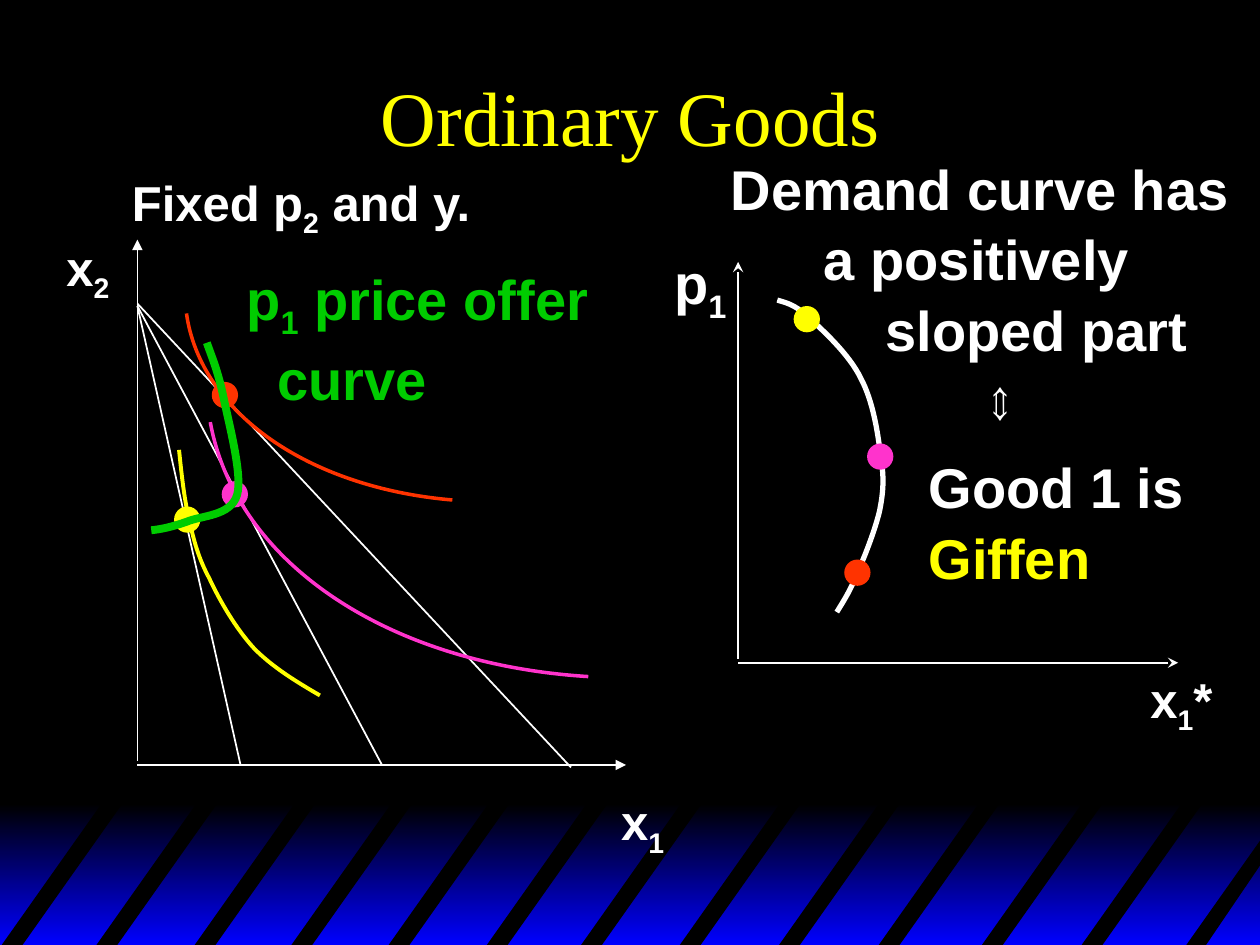
from typing import NamedTuple

from pptx import Presentation
from pptx.dml.color import RGBColor
from pptx.enum.shapes import MSO_CONNECTOR as Connector, MSO_SHAPE as Preset
from pptx.enum.text import MSO_ANCHOR as Anchor, PP_ALIGN as Align
from pptx.oxml.ns import qn
from pptx.oxml.xmlchemy import OxmlElement
from pptx.util import Cm, Pt

WHITE, BLACK, BLUE = "FFFFFF", "000000", "0000FF"
YELLOW, GREEN, RED, PINK = "FFFF00", "00CC00", "FF3300", "FF33CC"
Point = tuple[float, float]


class Line(NamedTuple):
    start: Point
    end: Point
    arrow: str = ""


class Curve(NamedTuple):
    """A start point followed by three Bezier points per segment."""
    color: str
    weight: float
    points: list[Point]


class Dot(NamedTuple):
    left: float
    top: float
    color: str


class TextLine(NamedTuple):
    text: str  # parts between bars are subscripts
    color: str = WHITE
    indent: float = 0


class Label(NamedTuple):
    left: float
    top: float
    width: float
    height: float
    size: float
    lines: list[TextLine]
    rotation: float = 0


STRIPE_LEFTS = [0, 1.91, 3.89, 5.84, 7.8, 9.78, 11.68, 13.67, 15.67, 17.68, 19.76, 21.77]
LAST_STRIPE = [(23.88, 19.1), (25.4, 16.95), (25.4, 17.45), (24.28, 19.1)]

LINES = [
    Line((2.77, 15.34), (2.77, 4.83), "triangle"),
    Line((2.77, 15.42), (12.62, 15.42), "triangle"),
    Line((2.77, 6.12), (11.51, 15.47)),
    Line((2.77, 6.17), (7.7, 15.42)),
    Line((2.77, 6.17), (4.85, 15.42)),
    Line((14.88, 13.28), (14.88, 5.28), "stealth"),
    Line((14.88, 13.36), (23.75, 13.36), "stealth"),
]
DEMAND_CURVE = Curve(WHITE, 3, [
    (15.67, 6.05), (15.82, 6.1), (16, 6.12), (16.28, 6.38),
    (16.56, 6.63), (17.12, 7.14), (17.35, 7.62),
    (17.6, 8.08), (17.7, 8.74), (17.75, 9.17),
    (17.83, 9.63), (17.81, 9.91), (17.73, 10.31),
    (17.63, 10.72), (17.42, 11.25), (17.27, 11.58),
    (17.15, 11.91), (16.94, 12.22), (16.87, 12.34)])
RED_INDIFFERENCE = Curve(RED, 2, [(9.12, 10.08), (6.2, 9.83), (4.04, 8.31), (3.76, 6.32)])
PINK_INDIFFERENCE = Curve(PINK, 2, [(11.86, 13.64), (7.8, 13.39), (4.75, 11.33), (4.24, 8.51)])
YELLOW_INDIFFERENCE = Curve(YELLOW, 2.25, [
    (3.61, 9.07), (3.66, 9.55), (3.71, 10.03), (3.81, 10.46),
    (3.91, 10.9), (3.99, 11.23), (4.22, 11.66),
    (4.42, 12.09), (4.75, 12.67), (5.13, 13.08),
    (5.51, 13.46), (5.97, 13.74), (6.45, 14.02)])
OFFER_CURVE = Curve(GREEN, 4.5, [
    (3.05, 10.69), (3.25, 10.67), (3.48, 10.62), (3.76, 10.52),
    (4.06, 10.39), (4.65, 10.41), (4.78, 9.98),
    (4.9, 9.58), (4.6, 8.48), (4.5, 7.98),
    (4.39, 7.47), (4.27, 7.19), (4.17, 6.91)])
DOTS = [
    Dot(3.51, 10.21, YELLOW), Dot(4.47, 9.7, PINK), Dot(4.27, 7.7, RED),
    Dot(16, 6.17, YELLOW), Dot(17.02, 11.28, RED), Dot(17.48, 8.94, PINK),
]
LABELS = [
    Label(2.41, 3.28, 7.42, 1.6, 28, [TextLine("Fixed p|2| and y.")]),
    Label(12.27, 15.77, 1.37, 1.6, 28, [TextLine("x|1")]),
    Label(1.09, 4.6, 1.37, 1.6, 28, [TextLine("x|2")]),
    Label(4.72, 5.13, 7.42, 3.15, 32,
          [TextLine("p|1| price offer", GREEN), TextLine("curve", GREEN, 0.62)]),
    Label(22.94, 13.31, 1.75, 1.6, 28, [TextLine("x|1|*")]),
    Label(14.48, 2.92, 10.57, 4.32, 32,
          [TextLine("Demand curve has"), TextLine("a positively", indent=1.88),
           TextLine("sloped part", indent=3.12)]),
    Label(18.47, 8.94, 5.66, 2.97, 32,
          [TextLine("Good 1 is"), TextLine("Giffen", YELLOW)]),
    Label(19.61, 7.32, 1.57, 1.6, 32, [TextLine("⇔")], 90),
    Label(13.34, 4.8, 1.57, 1.8, 32, [TextLine("p|1")]),
]


def rgb(color: str) -> RGBColor:
    return RGBColor.from_string(color)


def fill_solid(shape, color: str) -> None:
    shape.shadow.inherit = False
    shape.fill.solid()
    shape.fill.fore_color.rgb = rgb(color)
    shape.line.fill.background()


def add_outline(slide, points: list[Point], close: bool):
    start, *rest = [(Cm(x), Cm(y)) for x, y in points]
    builder = slide.shapes.build_freeform(*start)
    builder.add_line_segments(rest, close=close)
    return builder.convert_to_shape()


def add_backdrop(slide) -> None:
    slide.background.fill.solid()
    slide.background.fill.fore_color.rgb = rgb(BLACK)
    band = slide.shapes.add_shape(Preset.RECTANGLE, 0, Cm(16.21), Cm(25.4), Cm(2.84))
    fill_solid(band, BLUE)
    band.fill.gradient()
    band.fill.gradient_angle = 270
    for stop, color, position in zip(band.fill.gradient_stops, (BLACK, BLUE), (0, 1)):
        stop.color.rgb = rgb(color)
        stop.position = position
    stripes = [[(x, 19.1), (x + 2.12, 16.1), (x + 2.54, 16.1), (x + 0.42, 19.1)]
               for x in STRIPE_LEFTS]
    for stripe in stripes + [LAST_STRIPE]:
        fill_solid(add_outline(slide, stripe, close=True), BLACK)


def add_line(slide, line: Line) -> None:
    connector = slide.shapes.add_connector(
        Connector.STRAIGHT, *map(Cm, line.start + line.end))
    connector.line.color.rgb = rgb(WHITE)
    connector.line.width = Pt(1)
    if line.arrow:
        tail = OxmlElement("a:tailEnd")
        tail.set("type", line.arrow)
        connector.line._get_or_add_ln().append(tail)
    connector._element.spPr.append(OxmlElement("a:effectLst"))


def add_curve(slide, curve: Curve) -> None:
    """Draw the control points, then turn each three segments into a Bezier."""
    shape = add_outline(slide, curve.points, close=False)
    shape.shadow.inherit = False
    shape.fill.background()
    shape.line.color.rgb = rgb(curve.color)
    shape.line.width = Pt(curve.weight)
    outline = next(shape._element.iter(qn("a:path")))
    segments = outline.findall(qn("a:lnTo"))
    for first in range(0, len(segments), 3):
        bezier = OxmlElement("a:cubicBezTo")
        for segment in segments[first:first + 3]:
            bezier.append(segment[0])
            outline.remove(segment)
        outline.append(bezier)


def add_dot(slide, dot: Dot) -> None:
    shape = slide.shapes.add_shape(
        Preset.OVAL, Cm(dot.left), Cm(dot.top), Cm(0.53), Cm(0.53))
    fill_solid(shape, dot.color)


def add_label(slide, label: Label) -> None:
    box = slide.shapes.add_textbox(
        *map(Cm, (label.left, label.top, label.width, label.height)))
    box.rotation = label.rotation
    frame = box.text_frame
    frame.word_wrap = False
    for index, line in enumerate(label.lines):
        paragraph = frame.add_paragraph() if index else frame.paragraphs[0]
        paragraph.line_spacing = 1.05
        if line.indent:
            paragraph._p.get_or_add_pPr().set("marL", str(Cm(line.indent)))
        font = paragraph.font
        font.name, font.size, font.bold = "Arial", Pt(label.size), True
        font.color.rgb = rgb(line.color)
        for part_index, part in enumerate(line.text.split("|")):
            run = paragraph.add_run()
            run.text = part
            if part_index % 2:
                run.font._element.set("baseline", "-25000")


def set_title(slide, text: str) -> None:
    title = slide.shapes.title
    title.left, title.top, title.width, title.height = map(Cm, (1.91, 0.64, 21.59, 3.38))
    title.text_frame.text = text
    title.text_frame.vertical_anchor = Anchor.MIDDLE
    paragraph = title.text_frame.paragraphs[0]
    paragraph.alignment = Align.CENTER
    paragraph.font.name, paragraph.font.size = "Times New Roman", Pt(44)
    paragraph.font.color.rgb = rgb(YELLOW)


def main() -> None:
    presentation = Presentation()
    presentation.slide_width, presentation.slide_height = Cm(25.4), Cm(19.05)
    slide = presentation.slides.add_slide(presentation.slide_layouts[5])
    add_backdrop(slide)
    set_title(slide, "Ordinary Goods")
    for line in LINES:
        add_line(slide, line)
    for curve in (DEMAND_CURVE, RED_INDIFFERENCE, PINK_INDIFFERENCE):
        add_curve(slide, curve)
    for dot in DOTS:
        add_dot(slide, dot)
    for curve in (YELLOW_INDIFFERENCE, OFFER_CURVE):
        add_curve(slide, curve)
    for label in LABELS:
        add_label(slide, label)
    presentation.save("out.pptx")


if __name__ == "__main__":
    main()
